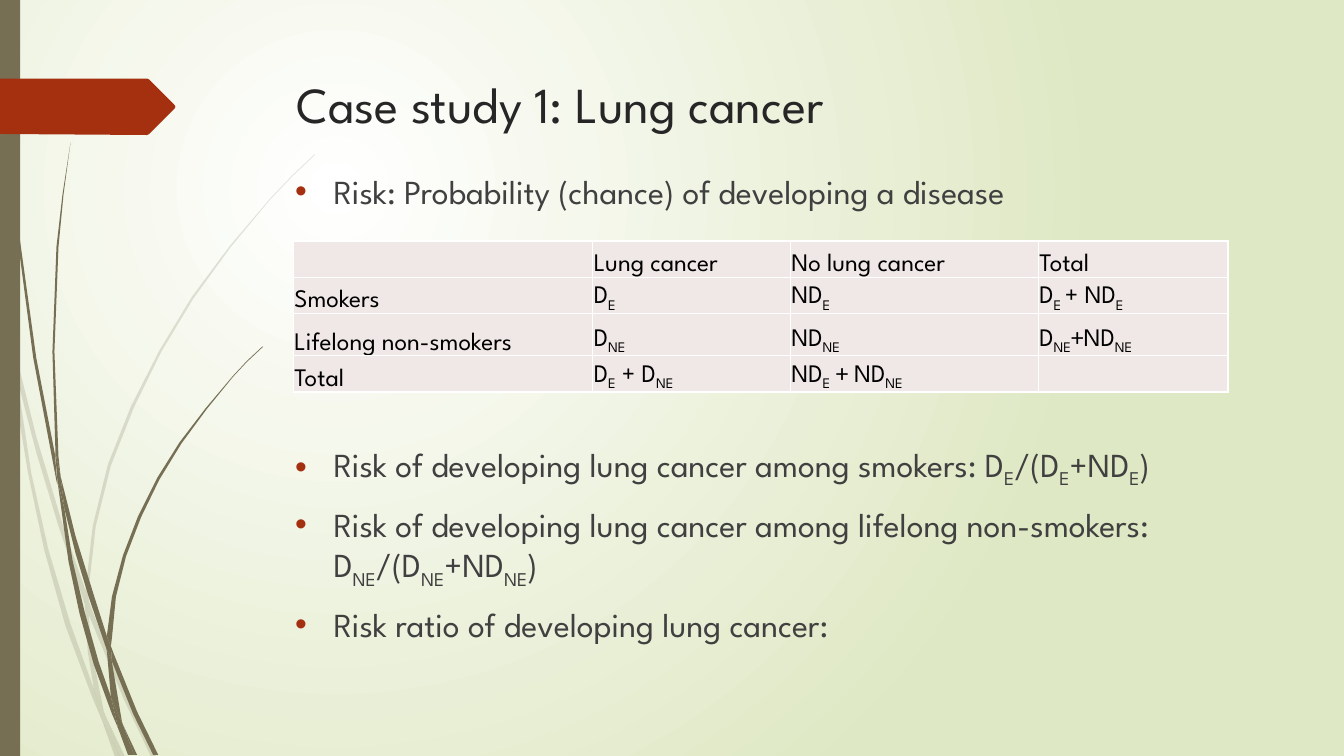
from dataclasses import dataclass
from itertools import product

from lxml.etree import SubElement
from pptx import Presentation
from pptx.dml.color import RGBColor
from pptx.enum.shapes import MSO_SHAPE
from pptx.enum.text import MSO_ANCHOR
from pptx.oxml import parse_xml
from pptx.oxml.ns import nsdecls, qn
from pptx.util import Pt

PX = 9144  # one px is a hundredth of an inch
FONT = "League Spartan"
OLIVE, RUST, WHITE = "766F54", "A53010", "FFFFFF"


@dataclass
class Clump:
    """Grass pieces, each an outline of x y pairs."""
    alpha: int
    blades: list[str]


@dataclass
class Bullet:
    text: str
    before: int = 10


PALE = Clump(20, [
    "11 350 9 322 0 282 0 299 10 344",
    "58 522 84 599 85 586 62 520 36 433 14 345 17 376 36 449",
    "92 607 88 596 88 610 123 694 150 751 155 751 127 692",
    "119 751 124 751 105 711",
    "93 683 70 619 48 545 31 469 17 376 11 350 18 410 28 470 44 546 65 621 92 693 101 714 99 707",
    "84 599 87 646 93 683 96 692 105 711 103 706 91 646 88 610 88 608",
    "88 584 95 522 110 462 133 404 160 349 192 296 229 245 268 198 290 175 312 154 312 153"
    " 289 175 268 197 228 244 190 295 158 348 130 403 107 461 92 522 85 584 85 586 88 596",
    "101 714 114 751 119 751",
    "88 608 88 610 88 596 85 586 84 599",
    "96 692 93 683 99 707 101 714 119 751 105 711",
])
DARK = Clump(100, [
    "7 110 17 233 33 355 56 477 57 481 55 457 55 453 36 355 19 232 8 109 5 48 4 0 3 0 4 48",
    "88 592 106 645 106 633 106 631 93 590 75 532 60 472 64 505 75 549",
    "113 649 110 641 111 656 132 708 152 749 157 749 136 706",
    "110 691 98 657 84 607 72 556 64 505 57 477 68 557 79 609 93 659 111 708 117 722 116 717",
    "60 472 58 453 54 349 58 245 63 193 70 141 62 193 56 245 52 349 55 449",
    "133 749 136 749 122 719",
    "57 477 64 505 60 472 55 449 55 453",
    "111 633 115 592 125 552 140 513 158 476 180 440 205 406 231 374 245 359 261 344 260 344"
    " 245 358 231 373 204 405 178 439 156 474 137 512 122 551 111 592 106 631 110 641",
    "117 722 127 749 131 749",
    "106 645 110 691 116 706 122 719 121 716 111 656 109 651",
    "106 645 109 651 111 656 110 641 106 631 106 633",
    "116 706 110 691 116 717 117 722 130 749 133 749 122 719",
])
ARROW = "0 78 146 78 148 79 173 104 174 106 173 108 148 133 146 134 0 133"

# Underscores enclose subscripts, tildes enclose Calibri.
BULLETS = [
    Bullet("Risk: Probability (chance) of developing a disease"),
    Bullet("Risk of developing lung cancer among smokers: D_E_/(D_E_+ND_E_)", 166),
    Bullet("Risk of developing lung cancer among lifelong non-smokers: D_NE_/(D_NE_+ND_NE_)"),
    Bullet("Risk ratio of developing lung cancer:"),
]
COLS, ROWS = [297, 196, 246, 188], [36, 36, 42, 36]
CELLS = [
    ["", "Lung cancer", "No lung cancer", "Total"],
    ["Smokers", "D_E_", "ND_E_", "D_E _+ ND_E_"],
    ["Lifelong non-smokers", "D_NE_", "ND_NE_", "D_NE_~+~ND_NE_"],
    ["Total", "D_E_ + D_NE_", "ND_E_~ + ~ND_NE_", ""],
]


def tint(code: str) -> RGBColor:
    return RGBColor.from_string(code)


def paint(shape, code: str, alpha: int = 100) -> None:
    shape.shadow.inherit = False
    shape.fill.solid()
    shape.fill.fore_color.rgb = tint(code)
    shape.line.fill.background()
    if alpha < 100:
        hue = shape.element.spPr.find(".//" + qn("a:srgbClr"))
        SubElement(hue, qn("a:alpha"), val=str(alpha * 1000))


def outline(shapes, text: str, code: str, alpha: int = 100) -> None:
    nums = [int(n) * PX for n in text.split()]
    first, *rest = zip(nums[::2], nums[1::2])
    pen = shapes.build_freeform(*first)
    pen.add_line_segments(rest, close=True)
    paint(pen.convert_to_shape(), code, alpha)


def write(para, text: str, *, size: int, color: str) -> None:
    for i, bit in enumerate(text.split("_")):
        for j, part in enumerate(bit.split("~")):
            if not part:
                continue
            run = para.add_run()
            run.text = part
            run.font.size = Pt(size)
            run.font.name = "Calibri" if j % 2 else FONT
            run.font.color.rgb = tint(color)
            if i % 2:
                run.font._element.set("baseline", "-25000")


def frame(shapes, x: int, y: int, w: int, h: int):
    text = shapes.add_textbox(x * PX, y * PX, w * PX, h * PX).text_frame
    text.word_wrap = True
    return text


def mark(para) -> None:
    """Give the paragraph a hanging round bullet."""
    props = para._p.get_or_add_pPr()
    props.set("marL", str(38 * PX))
    props.set("indent", str(-38 * PX))
    SubElement(SubElement(props, qn("a:buClr")), qn("a:srgbClr"), val=RUST)
    SubElement(props, qn("a:buFont"), typeface="Arial")
    SubElement(props, qn("a:buChar"), char="•")


def edge(cell) -> None:
    props = cell._tc.get_or_add_tcPr()
    for i, side in enumerate("LRTB"):
        props.insert(i, parse_xml(
            f'<a:ln{side} {nsdecls("a")} w="12700"><a:solidFill><a:srgbClr val="{WHITE}"/></a:solidFill></a:ln{side}>'))


def grid(shapes) -> None:
    table = shapes.add_table(len(ROWS), len(COLS), 291 * PX, 239 * PX, sum(COLS) * PX, sum(ROWS) * PX).table
    table.first_row = table.horz_banding = False
    for col, width in zip(table.columns, COLS):
        col.width = width * PX
    for row, height in zip(table.rows, ROWS):
        row.height = height * PX
    for r, c in product(range(len(ROWS)), range(len(COLS))):
        cell = table.cell(r, c)
        cell.fill.solid()
        cell.fill.fore_color.rgb = tint("F0E8E7")
        cell.margin_left = cell.margin_right = cell.margin_top = PX
        cell.margin_bottom = 0
        cell.vertical_anchor = MSO_ANCHOR.BOTTOM
        write(cell.text_frame.paragraphs[0], CELLS[r][c], size=18, color="000000")
        edge(cell)


def glow(slide) -> None:
    """Fill the background with a round gradient centred at the upper left."""
    fill = slide.background.fill
    fill.gradient()
    for stop, code in zip(fill.gradient_stops, (WHITE, "DFE8C4")):
        stop.color.rgb = tint(code)
    line = slide.element.find(".//" + qn("a:lin"))
    line.getparent().replace(line, parse_xml(
        f'<a:path {nsdecls("a")} path="circle"><a:fillToRect l="50000" t="50000" r="100000" b="100000"/></a:path>'))


def main() -> None:
    deck = Presentation()
    deck.slide_width, deck.slide_height = 1333 * PX, 750 * PX
    slide = deck.slides.add_slide(deck.slide_layouts[6])
    shapes = slide.shapes
    glow(slide)
    for clump in (PALE, DARK):
        group = shapes.add_group_shape()
        for blade in clump.blades:
            outline(group.shapes, blade, OLIVE, clump.alpha)
    paint(shapes.add_shape(MSO_SHAPE.RECTANGLE, 0, 0, 20 * PX, 750 * PX), OLIVE)
    outline(shapes, ARROW, RUST)
    title = frame(shapes, 284, 68, 975, 140)
    write(title.paragraphs[0], "Case study 1: Lung cancer", size=36, color="262626")
    body = frame(shapes, 283, 165, 997, 530)
    for i, item in enumerate(BULLETS):
        para = body.add_paragraph() if i else body.paragraphs[0]
        para.space_before = Pt(item.before)
        mark(para)
        write(para, item.text, size=24, color="404040")
    grid(shapes)
    deck.save("out.pptx")


if __name__ == "__main__":
    main()
